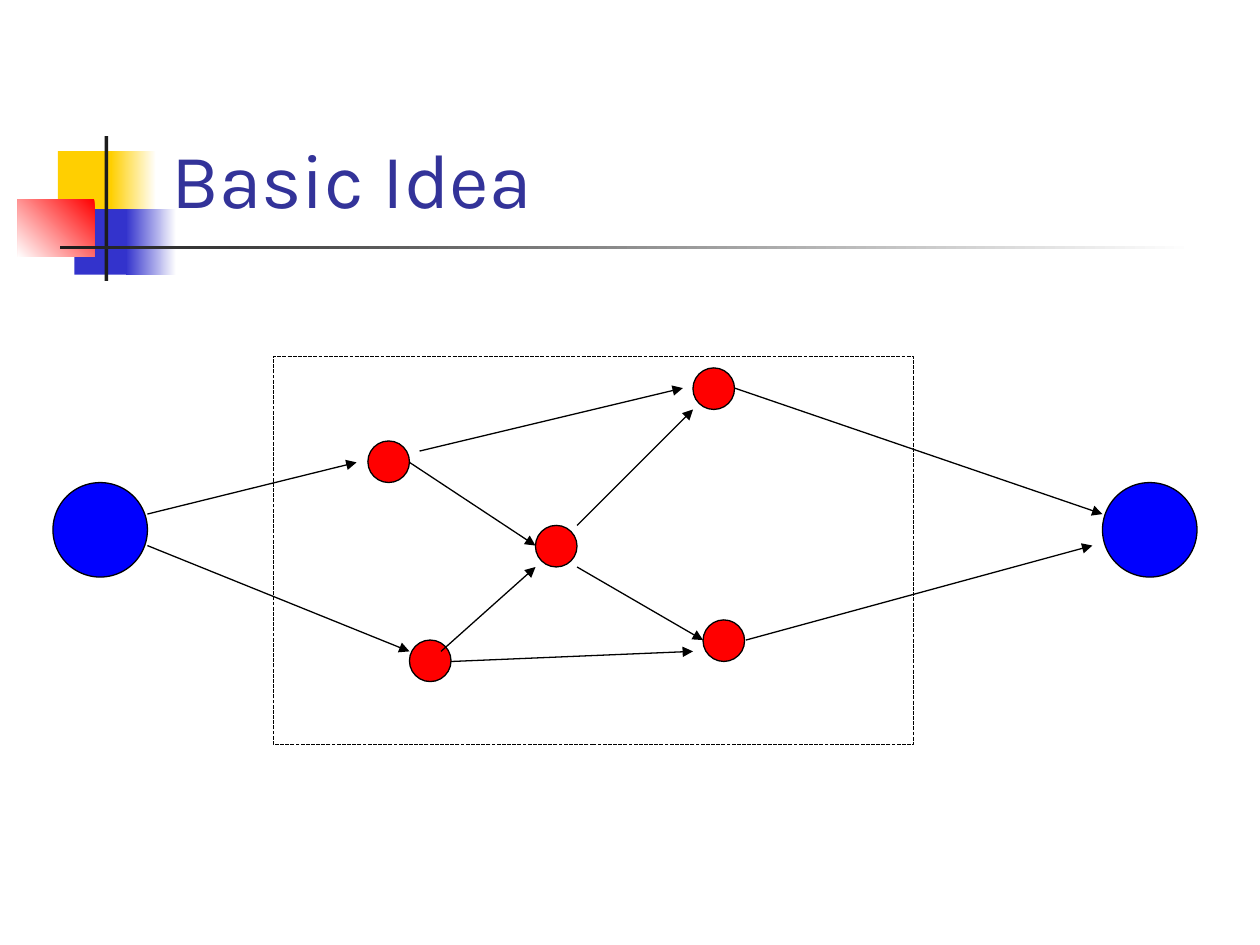
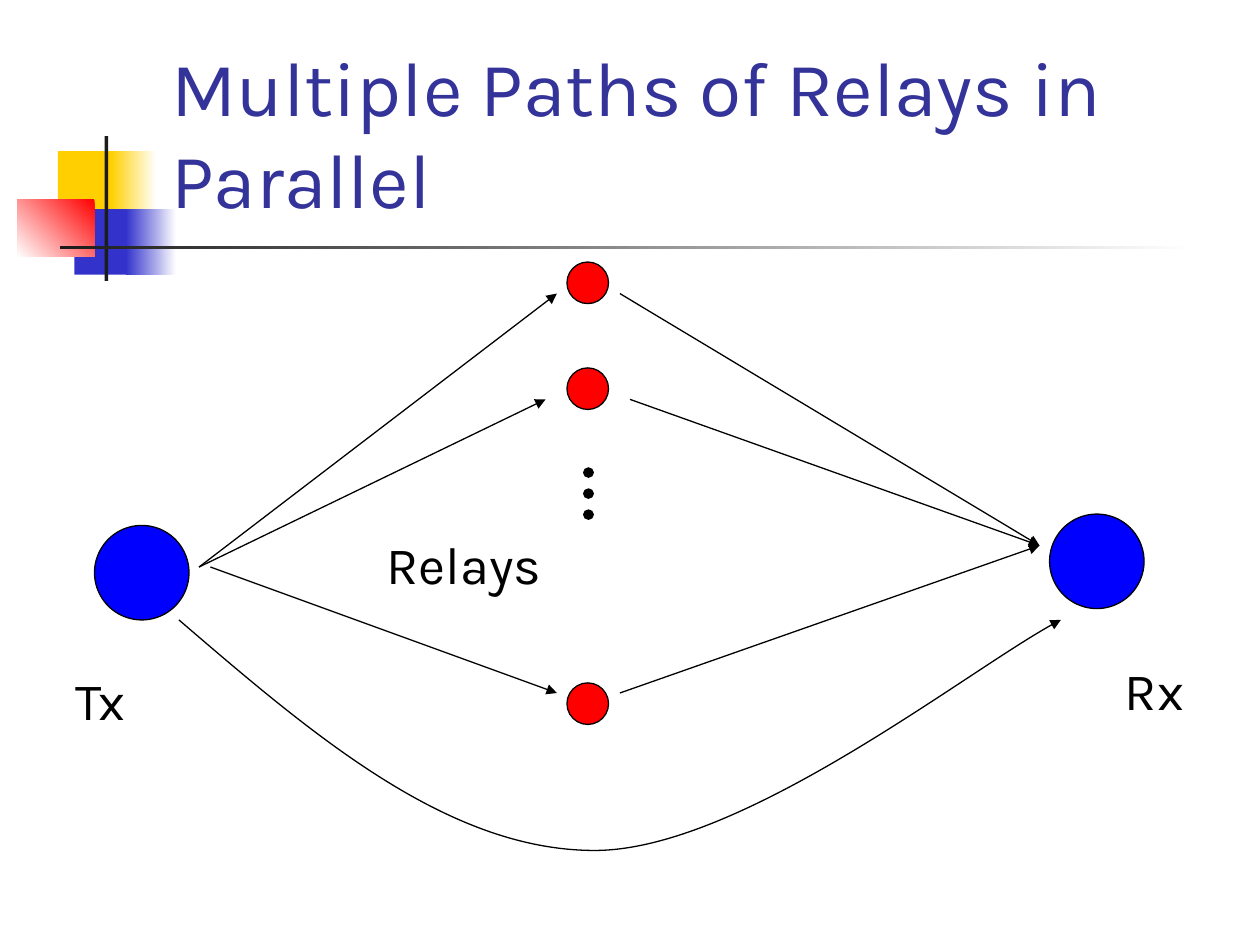
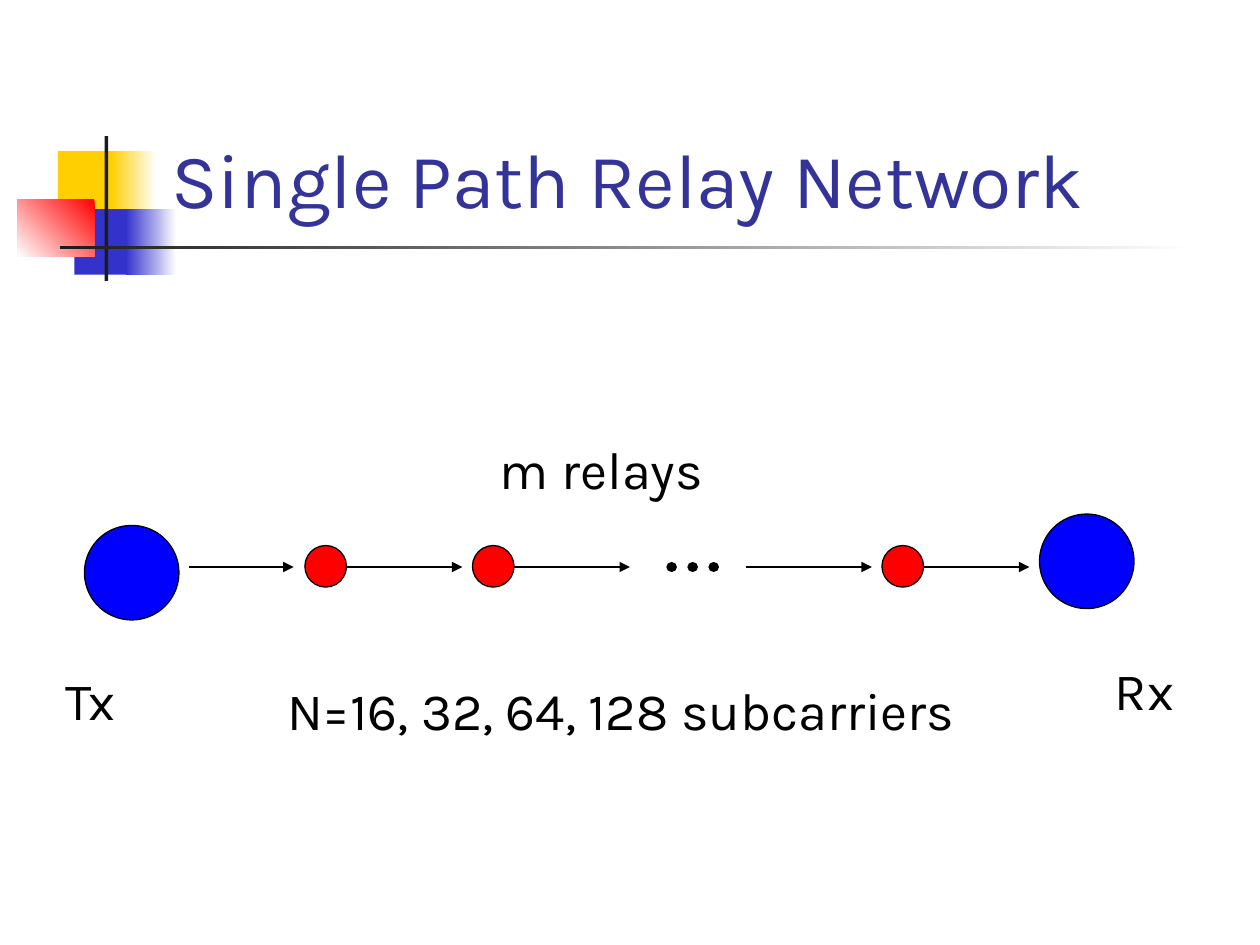
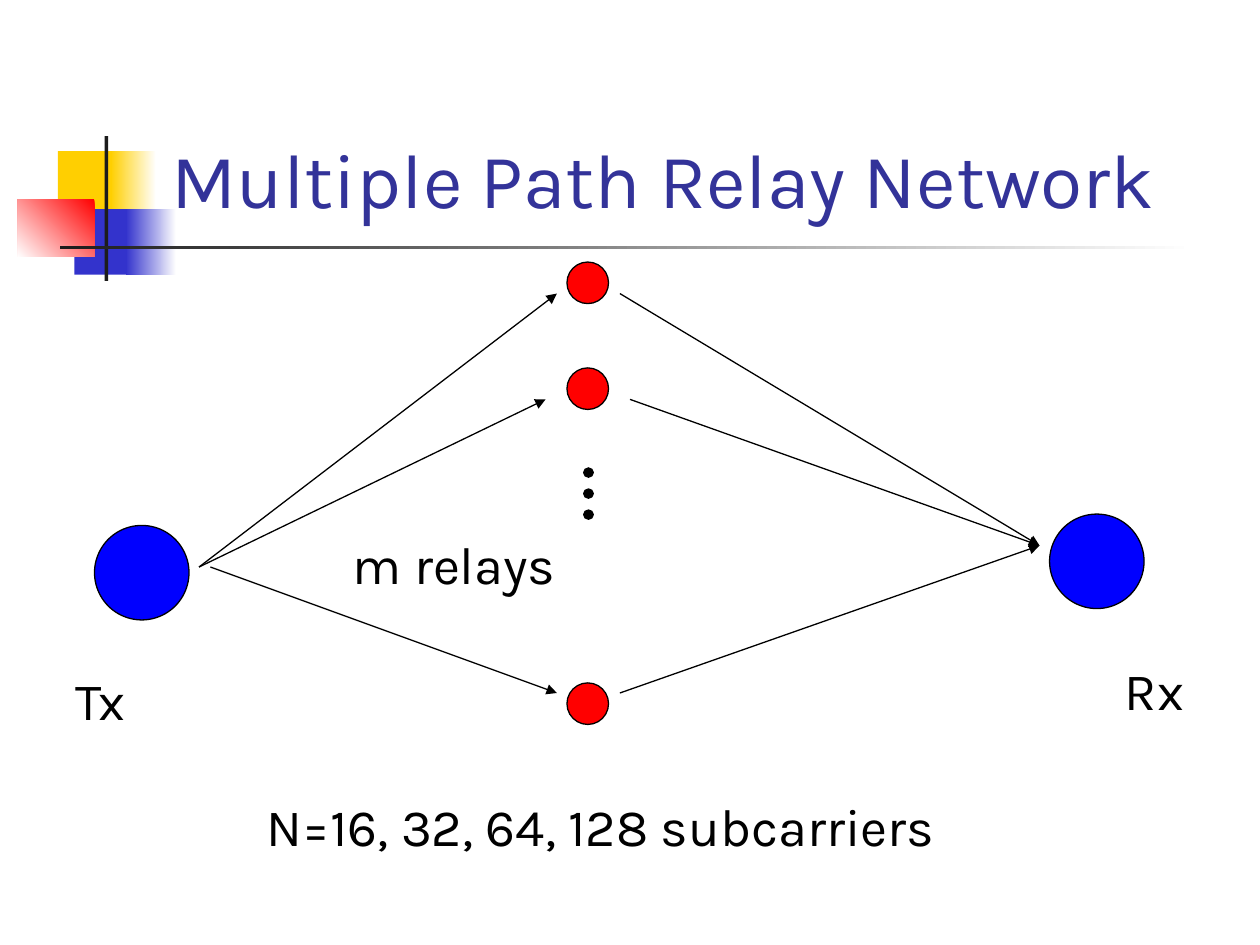
"""Build four slides about relay networks."""
from dataclasses import dataclass

from lxml import etree
from pptx import Presentation
from pptx.dml.color import RGBColor
from pptx.enum.dml import MSO_LINE
from pptx.enum.shapes import MSO_CONNECTOR, MSO_SHAPE
from pptx.enum.text import MSO_ANCHOR, MSO_AUTO_SIZE, PP_ALIGN
from pptx.oxml.ns import qn
from pptx.util import Inches, Pt

RECTANGLE, OVAL = MSO_SHAPE.RECTANGLE, MSO_SHAPE.OVAL
STRAIGHT = MSO_CONNECTOR.STRAIGHT
DOTTED, FINE_DASH = MSO_LINE.ROUND_DOT, MSO_LINE.SQUARE_DOT
BOTTOM, LEFT = MSO_ANCHOR.BOTTOM, PP_ALIGN.LEFT
FIT_SHAPE, NO_FIT = MSO_AUTO_SIZE.SHAPE_TO_FIT_TEXT, MSO_AUTO_SIZE.NONE

FONT = "Karla"
WHITE, BLACK, CHARCOAL = "FFFFFF", "000000", "1C1C1C"
YELLOW, INDIGO, NAVY = "FFCF01", "3333CC", "333399"
RED, BLUE = "FF0000", "0000FF"
THIN, THICK = 0.75, 6
STATION_SIZE, RELAY_SIZE = 0.75, 0.33
LABEL_HEIGHT = 0.6
SUBCARRIERS = "N=16, 32, 64, 128 subcarriers"


@dataclass(frozen=True)
class Band:
    """A rectangle of the title motif, plain or fading to a second colour."""
    left: float
    top: float
    width: float
    height: float
    color: str
    fade_to: str = ""
    angle: float = 180


@dataclass(frozen=True)
class Node:
    """A network node placed by its top left corner."""
    left: float
    top: float
    size: float = RELAY_SIZE
    color: str = RED


@dataclass(frozen=True)
class Link:
    """A straight line between two points."""
    x1: float
    y1: float
    x2: float
    y2: float


@dataclass(frozen=True)
class Label:
    """A text label; a wrapped one has space before its paragraph."""
    text: str
    left: float
    top: float
    width: float
    wrap: bool = False


MOTIF = (
    Band(0.46, 1.2, 0.48, 0.52, YELLOW),
    Band(0.88, 1.2, 0.36, 0.52, WHITE, YELLOW),
    Band(0.59, 1.66, 0.46, 0.52, INDIGO),
    Band(1, 1.66, 0.4, 0.52, WHITE, INDIGO),
    Band(0.14, 1.58, 0.61, 0.46, RED, WHITE, 225),
    Band(0.83, 1.08, 0.03, 1.15, CHARCOAL),
    Band(0.48, 1.95, 9, 0.03, WHITE, CHARCOAL),
)
MESH_NODES = (
    Node(0.42, 3.83, STATION_SIZE, BLUE), Node(8.75, 3.83, STATION_SIZE, BLUE),
    Node(2.92, 3.5), Node(5.5, 2.92), Node(4.25, 4.17), Node(5.58, 4.92), Node(3.25, 5.08),
)
MESH_LINKS = (
    Link(1.17, 4.08, 2.83, 3.67), Link(5.83, 3.08, 8.75, 4.08),
    Link(5.92, 5.08, 8.67, 4.33), Link(4.58, 4.17, 5.5, 3.25),
    Link(4.58, 4.5, 5.58, 5.08), Link(1.17, 4.33, 3.25, 5.17),
    Link(3.25, 3.67, 4.25, 4.33), Link(3.33, 3.58, 5.42, 3.08),
    Link(3.58, 5.25, 5.5, 5.17), Link(3.5, 5.17, 4.25, 4.5),
)
PARALLEL_LINKS = (
    Link(1.58, 4.5, 4.42, 2.33), Link(1.58, 4.5, 4.33, 3.17),
    Link(5, 3.17, 8.25, 4.33), Link(1.67, 4.5, 4.42, 5.5),
    Link(4.92, 2.33, 8.25, 4.33), Link(4.92, 5.5, 8.25, 4.33),
)
CHAIN_SPANS = ((1.5, 2.33), (2.75, 3.67), (7.33, 8.17), (4.08, 5), (5.92, 6.92))
CHAIN_AXIS = 4.5
DIRECT_PATH = (
    (1.42, 4.92), (2.48, 5.83), (3.55, 6.75), (4.72, 6.75),
    (5.88, 6.75), (7.77, 5.25), (8.42, 4.92),
)


def rgb(color: str) -> RGBColor:
    """Turn a hex string into a colour."""
    return RGBColor.from_string(color)


def set_line(shape, width: float = THIN) -> None:
    """Give a shape or connector a black line."""
    shape.line.color.rgb = rgb(BLACK)
    shape.line.width = Pt(width)


def line_element(shape):
    """Return the line properties of a shape."""
    return shape.element.spPr.find(qn("a:ln"))


def add_arrowhead(shape) -> None:
    """End the line of a shape with a triangle."""
    etree.SubElement(line_element(shape), qn("a:tailEnd"), type="triangle")


def add_preset(slide, kind, left: float, top: float, width: float, height: float):
    """Add a preset shape without shadow."""
    shape = slide.shapes.add_shape(kind, Inches(left), Inches(top), Inches(width), Inches(height))
    shape.shadow.inherit = False
    return shape


def add_band(slide, band: Band):
    """Draw one rectangle of the motif."""
    shape = add_preset(slide, RECTANGLE, band.left, band.top, band.width, band.height)
    shape.line.fill.background()
    if band.fade_to:
        shape.fill.gradient()
        shape.fill.gradient_angle = band.angle
        for stop, color in zip(shape.fill.gradient_stops, (band.color, band.fade_to)):
            stop.color.rgb = rgb(color)
    else:
        shape.fill.solid()
        shape.fill.fore_color.rgb = rgb(band.color)
    return shape


def move_motif_to_layout(slide) -> None:
    """Draw the motif once and hand it to the layout behind its placeholders."""
    tree = slide.slide_layout.shapes.element
    for index, band in enumerate(MOTIF):
        element = add_band(slide, band).element
        element.nvSpPr.cNvPr.set("id", str(101 + index))
        tree.insert(2 + index, element)


def add_run(paragraph, text: str, size: float, color: str) -> None:
    """Add one formatted run."""
    run = paragraph.add_run()
    run.text = text
    run.font.name = FONT
    run.font.size = Pt(size)
    run.font.color.rgb = rgb(color)


def add_titled_slide(presentation, text: str):
    """Add a title-only slide and format its title."""
    slide = presentation.slides.add_slide(presentation.slide_layouts[5])
    title = slide.shapes.title
    title.left, title.top = Inches(1.26), Inches(0.23)
    title.width, title.height = Inches(8.52), Inches(1.6)
    frame = title.text_frame
    frame.vertical_anchor = BOTTOM
    frame.auto_size = NO_FIT
    frame.word_wrap = True
    paragraph = frame.paragraphs[0]
    paragraph.alignment = LEFT
    add_run(paragraph, text, 44, NAVY)
    return slide


def add_node(slide, node: Node) -> None:
    """Draw a node as an outlined circle."""
    shape = add_preset(slide, OVAL, node.left, node.top, node.size, node.size)
    shape.fill.solid()
    shape.fill.fore_color.rgb = rgb(node.color)
    set_line(shape)


def add_link(slide, link: Link, width: float = THIN):
    """Draw a straight line without shadow."""
    connector = slide.shapes.add_connector(
        STRAIGHT, Inches(link.x1), Inches(link.y1), Inches(link.x2), Inches(link.y2))
    set_line(connector, width)
    etree.SubElement(connector.element.spPr, qn("a:effectLst"))
    return connector


def add_dots(slide, link: Link) -> None:
    """Draw the dots that stand for further relays."""
    connector = add_link(slide, link, THICK)
    connector.line.dash_style = DOTTED
    line_element(connector).set("cap", "rnd")


def add_label(slide, label: Label) -> None:
    """Write a label in a text box."""
    box = slide.shapes.add_textbox(
        Inches(label.left), Inches(label.top), Inches(label.width), Inches(LABEL_HEIGHT))
    frame = box.text_frame
    frame.word_wrap = label.wrap
    frame.auto_size = FIT_SHAPE
    paragraph = frame.paragraphs[0]
    if label.wrap:
        paragraph.space_before = Pt(18.7)
    add_run(paragraph, label.text, 30, BLACK)


def add_network(slide, nodes, links, labels=()) -> None:
    """Draw nodes, arrows and labels."""
    for node in nodes:
        add_node(slide, node)
    for link in links:
        add_arrowhead(add_link(slide, link))
    for label in labels:
        add_label(slide, label)


def add_relay_network(slide, start: float, relays, links, dots: Link, labels) -> None:
    """Draw a transmitter, a receiver and the relays between them."""
    stations = (Node(start, 4.17, STATION_SIZE, BLUE),
                Node(start + 7.58, 4.08, STATION_SIZE, BLUE))
    ends = (Label("Tx", start - 0.25, 5.25, 0.75, True),
            Label("Rx", start + 8.08, 5.17, 0.75, True))
    add_network(slide, stations + relays, links, ends + labels)
    add_dots(slide, dots)


def add_parallel_network(slide, *labels: Label) -> None:
    """Draw relays side by side between the two stations."""
    relays = tuple(Node(4.5, top) for top in (2.08, 2.92, 5.42))
    add_relay_network(slide, 0.75, relays, PARALLEL_LINKS, Link(4.67, 3.75, 4.67, 4.25), labels)


def add_direct_path(slide) -> None:
    """Draw the curved arrow that passes below the relays."""
    points = [(Inches(x), Inches(y)) for x, y in DIRECT_PATH]
    builder = slide.shapes.build_freeform(*points[0])
    builder.add_line_segments(points[1:], close=False)
    curve = builder.convert_to_shape()
    curve.shadow.inherit = False
    curve.fill.background()
    set_line(curve)
    add_arrowhead(curve)
    segments = list(curve.element.iter(qn("a:lnTo")))
    outline = segments[0].getparent()
    for first in range(0, len(segments), 3):
        bezier = etree.SubElement(outline, qn("a:cubicBezTo"))
        for segment in segments[first:first + 3]:
            bezier.append(segment[0])
            outline.remove(segment)


def build_basic_idea(presentation) -> None:
    """Build the mesh of relays in its frame."""
    slide = add_titled_slide(presentation, "Basic Idea")
    move_motif_to_layout(slide)
    add_network(slide, MESH_NODES, MESH_LINKS)
    frame = add_preset(slide, RECTANGLE, 2.17, 2.83, 5.08, 3.08)
    frame.fill.background()
    set_line(frame)
    frame.line.dash_style = FINE_DASH


def build_parallel_paths(presentation) -> None:
    """Build the parallel relays with a direct path."""
    slide = add_titled_slide(presentation, "Multiple Paths of Relays in Parallel")
    add_parallel_network(slide, Label("Relays", 2.97, 4.17, 1.45))
    add_direct_path(slide)


def build_single_path(presentation) -> None:
    """Build the chain of relays."""
    slide = add_titled_slide(presentation, "Single Path Relay Network")
    relays = tuple(Node(left, 4.33) for left in (2.42, 3.75, 7))
    links = [Link(x1, CHAIN_AXIS, x2, CHAIN_AXIS) for x1, x2 in CHAIN_SPANS]
    labels = (Label("m relays", 3.87, 3.42, 1.86), Label(SUBCARRIERS, 2.18, 5.33, 5.87))
    add_relay_network(slide, 0.67, relays, links,
                      Link(5.33, CHAIN_AXIS, 5.83, CHAIN_AXIS), labels)


def build_multiple_path(presentation) -> None:
    """Build the parallel relays with the subcarrier counts."""
    slide = add_titled_slide(presentation, "Multiple Path Relay Network")
    add_parallel_network(slide, Label("m relays", 2.7, 4.17, 1.86),
                         Label(SUBCARRIERS, 2.02, 6.25, 5.87))


def main() -> None:
    """Build and save the presentation."""
    presentation = Presentation()
    presentation.slide_width, presentation.slide_height = Inches(10), Inches(7.5)
    build_basic_idea(presentation)
    build_parallel_paths(presentation)
    build_single_path(presentation)
    build_multiple_path(presentation)
    presentation.save("out.pptx")


if __name__ == "__main__":
    main()
